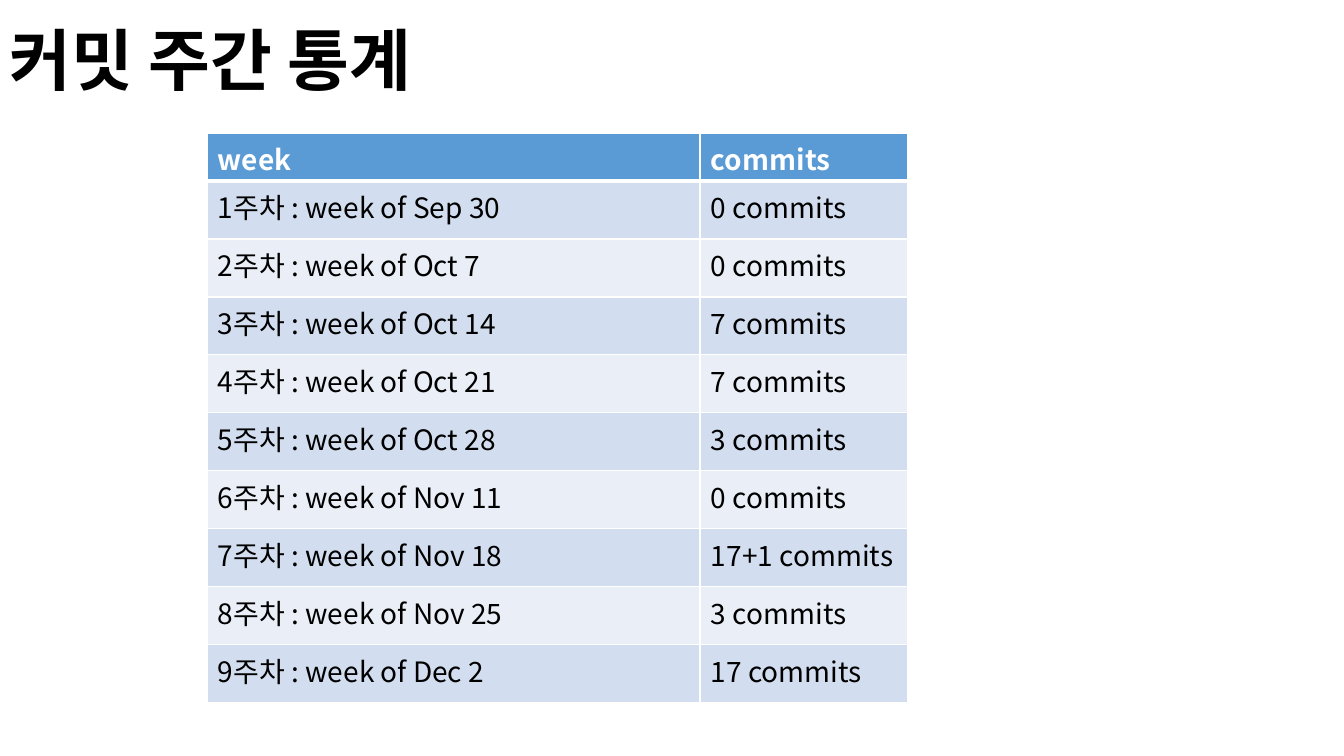
from lxml import etree
from pptx import Presentation
from pptx.dml.color import RGBColor
from pptx.enum.text import MSO_ANCHOR, MSO_AUTO_SIZE
from pptx.oxml.ns import qn
from pptx.util import Pt

TOP = MSO_ANCHOR.TOP
GROW = MSO_AUTO_SIZE.SHAPE_TO_FIT_TEXT

EMU_PER_PX = 9071.43
SLIDE_SIZE = (1344, 756)
TITLE_BOX = (0, 13, 475, 92)
TABLE_BOX = (207, 133, 701, 570)
WEEK_WIDTH = 493
HEADER_HEIGHT = 48

KOREAN_FONT = "Noto Sans CJK KR"
WHITE, BLACK = "FFFFFF", "000000"
HEADER_FILL = "5B9BD5"
BAND_FILLS = ("D2DEEF", "EAEFF7")

TITLE_FORMAT = {"size": Pt(48), "name": "Arial", "bold": True}
HEADER_FORMAT = {"size": Pt(20), "name": KOREAN_FONT, "bold": True}
BODY_FORMAT = {**HEADER_FORMAT, "bold": False}

HEADINGS = ("week", "commits")
WEEKLY_COMMITS = (
    ("Sep 30", "0"),
    ("Oct 7", "0"),
    ("Oct 14", "7"),
    ("Oct 21", "7"),
    ("Oct 28", "3"),
    ("Nov 11", "0"),
    ("Nov 18", "17+1"),
    ("Nov 25", "3"),
    ("Dec 2", "17"),
)


def px(length):
    return round(length * EMU_PER_PX)


def color(hex_value):
    return RGBColor.from_string(hex_value)


def write(frame, text, font_format, text_color):
    run = frame.paragraphs[0].add_run()
    run.text = text
    for attribute, value in font_format.items():
        setattr(run.font, attribute, value)
    run.font.color.rgb = color(text_color)
    # Hangul takes the East Asian font
    east_asian = etree.SubElement(run.font._element, qn("a:ea"))
    east_asian.set("typeface", KOREAN_FONT)


def add_borders(cell, widths):
    properties = cell._tc.get_or_add_tcPr()
    for position, (side, width) in enumerate(widths.items()):
        line = etree.Element(qn(f"a:ln{side}"), w=str(Pt(width)))
        fill = etree.SubElement(line, qn("a:solidFill"))
        etree.SubElement(fill, qn("a:srgbClr"), val=WHITE)
        properties.insert(position, line)


def add_title(slide, box):
    frame = slide.shapes.add_textbox(*map(px, box)).text_frame
    frame.word_wrap = False
    frame.auto_size = GROW
    write(frame, "커밋 주간 통계", TITLE_FORMAT, BLACK)


def add_commit_table(slide, box):
    rows = [HEADINGS] + [
        (f"{number}주차 : week of {week}", f"{commits} commits")
        for number, (week, commits) in enumerate(WEEKLY_COMMITS, 1)
    ]
    table = slide.shapes.add_table(len(rows), len(HEADINGS), *map(px, box)).table

    # Column widths and row heights
    _, _, width, height = box
    table.columns[0].width = px(WEEK_WIDTH)
    table.columns[1].width = px(width - WEEK_WIDTH)
    week_height = (height - HEADER_HEIGHT) // len(WEEKLY_COMMITS)
    for index, row in enumerate(table.rows):
        row.height = px(week_height if index else HEADER_HEIGHT)

    # Header row, then banded weeks
    for row_index, texts in enumerate(rows):
        is_header = row_index == 0
        fill = HEADER_FILL if is_header else BAND_FILLS[(row_index - 1) % 2]
        font_format = HEADER_FORMAT if is_header else BODY_FORMAT
        widths = {"L": 1, "R": 1, "T": 3 if row_index == 1 else 1,
                  "B": 3 if is_header else 1}
        for column_index, text in enumerate(texts):
            cell = table.cell(row_index, column_index)
            cell.vertical_anchor = TOP
            cell.margin_left = cell.margin_right = px(11)
            cell.margin_top = cell.margin_bottom = px(5)
            cell.fill.solid()
            cell.fill.fore_color.rgb = color(fill)
            add_borders(cell, widths)
            write(cell.text_frame, text, font_format,
                  WHITE if is_header else BLACK)


def main():
    presentation = Presentation()
    presentation.slide_width, presentation.slide_height = map(px, SLIDE_SIZE)
    slide = presentation.slides.add_slide(presentation.slide_layouts[6])
    add_title(slide, TITLE_BOX)
    add_commit_table(slide, TABLE_BOX)
    presentation.save("out.pptx")


if __name__ == "__main__":
    main()
